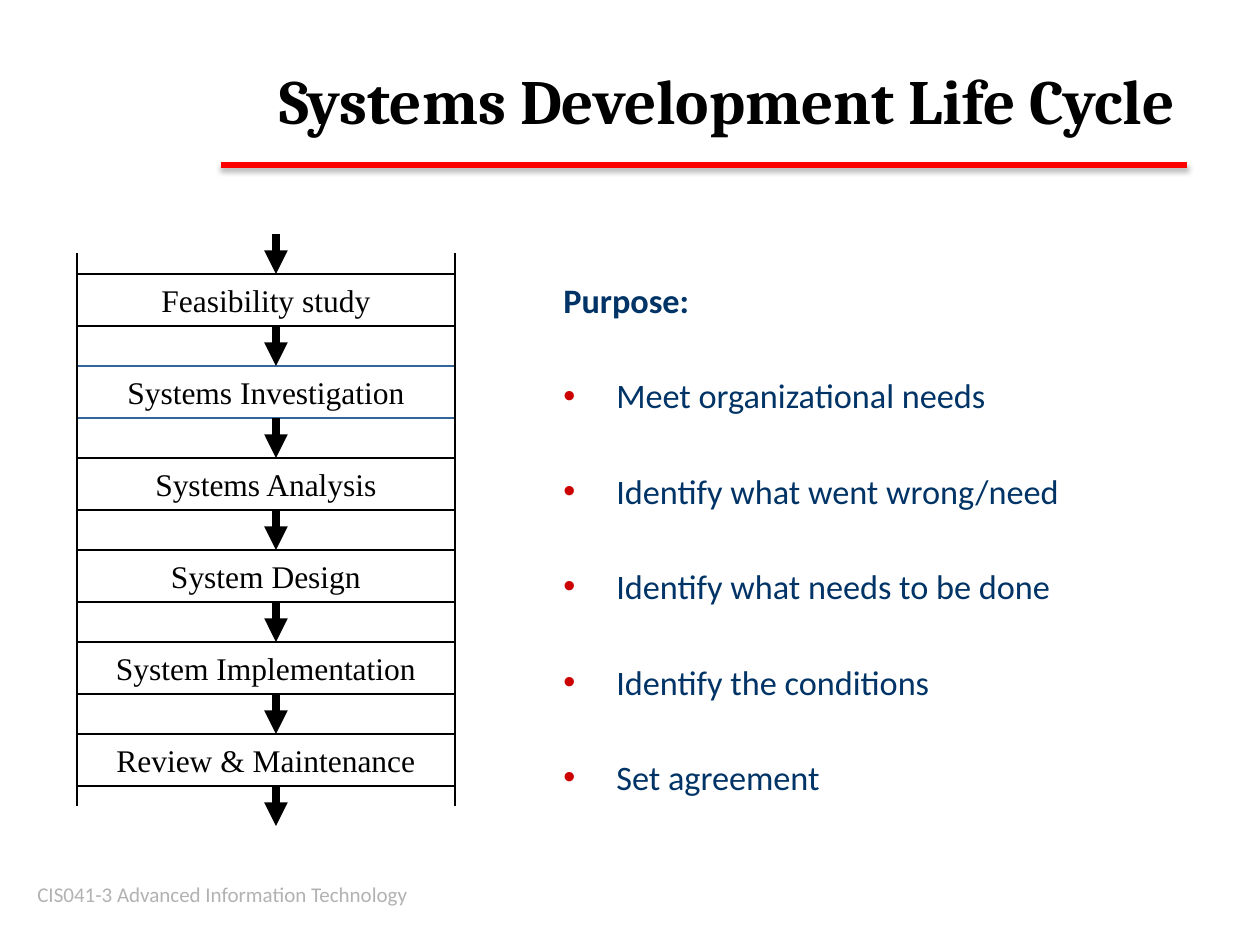
from lxml.etree import SubElement
from pptx import Presentation
from pptx.dml.color import RGBColor
from pptx.enum.shapes import MSO_CONNECTOR, MSO_SHAPE
from pptx.enum.text import MSO_ANCHOR, PP_ALIGN
from pptx.oxml.ns import qn
from pptx.util import Emu, Pt

BLACK = RGBColor(0x00, 0x00, 0x00)
RED = RGBColor(0xFF, 0x00, 0x00)
BULLET_RED = RGBColor(0xCC, 0x00, 0x00)
NAVY = RGBColor(0x00, 0x33, 0x66)
STEEL = RGBColor(0x33, 0x66, 0x99)
GREY = RGBColor(0xB2, 0xB2, 0xB2)

STAGES = ["Feasibility study", "Systems Investigation", "Systems Analysis",
          "System Design", "System Implementation", "Review & Maintenance"]
PURPOSES = ["Meet organizational needs", "Identify what went wrong/need",
            "Identify what needs to be done", "Identify the conditions",
            "Set agreement"]


def px(length):
    return Emu(round(length * 914400 / 126))


class SlideBuilder:
    heading_font = "Cambria"
    body_font = "Calibri"
    stage_font = "Times New Roman"

    def __init__(self, slide):
        self.slide = slide

    def style(self, paragraph, font, size, color, bold=False):
        for run in paragraph.runs:
            run.font.name = font
            run.font.size = Pt(size)
            run.font.color.rgb = color
            run.font.bold = bold

    def text(self, left, top, width, height, lines, anchor=MSO_ANCHOR.MIDDLE):
        box = self.slide.shapes.add_textbox(px(left), px(top), px(width), px(height))
        frame = box.text_frame
        frame.word_wrap = True
        frame.vertical_anchor = anchor
        frame.text = "\n".join(lines)
        return frame.paragraphs

    def bullet(self, paragraph, hang):
        properties = paragraph._p.get_or_add_pPr()
        properties.set("marL", str(px(hang)))
        properties.set("indent", str(-px(hang)))
        color = SubElement(properties, qn("a:buClr"))
        SubElement(color, qn("a:srgbClr"), val=str(BULLET_RED))
        SubElement(properties, qn("a:buFont"), typeface="Arial")
        SubElement(properties, qn("a:buChar"), char="•")

    def stage(self, left, top, width, height, label, outline):
        box = self.slide.shapes.add_shape(
            MSO_SHAPE.RECTANGLE, px(left), px(top), px(width), px(height))
        box.shadow.inherit = False
        box.fill.background()
        box.line.color.rgb = outline
        box.line.width = Pt(1)
        frame = box.text_frame
        frame.text = label
        frame.vertical_anchor = MSO_ANCHOR.MIDDLE
        paragraph = frame.paragraphs[0]
        paragraph.alignment = PP_ALIGN.CENTER
        self.style(paragraph, self.stage_font, 18, BLACK)

    def line(self, x1, y1, x2, y2, color, weight, arrow=False, shadow=False):
        connector = self.slide.shapes.add_connector(
            MSO_CONNECTOR.STRAIGHT, px(x1), px(y1), px(x2), px(y2))
        connector.line.color.rgb = color
        connector.line.width = Pt(weight)
        if arrow:
            SubElement(connector.line._get_or_add_ln(), qn("a:tailEnd"), type="triangle")
        effects = SubElement(connector._element.spPr, qn("a:effectLst"))
        if shadow:
            outer = SubElement(effects, qn("a:outerShdw"), blurRad=str(Pt(3.1)),
                               dist=str(Pt(1.8)), dir="5400000", rotWithShape="0")
            shade = SubElement(outer, qn("a:srgbClr"), val=str(BLACK))
            SubElement(shade, qn("a:alpha"), val="35000")


def main():
    deck = Presentation()
    deck.slide_width, deck.slide_height = px(1260), px(945)
    builder = SlideBuilder(deck.slides.add_slide(deck.slide_layouts[6]))

    # Title and rule
    builder.line(221, 165, 1187, 165, RED, 3, shadow=True)
    title = builder.text(221, 52, 966, 94, ["Systems Development Life Cycle"])[0]
    title.alignment = PP_ALIGN.RIGHT
    builder.style(title, builder.heading_font, 36, BLACK, bold=True)

    # Purpose list
    heading, *purposes = builder.text(
        551, 273, 636, 488, ["Purpose:", *PURPOSES], MSO_ANCHOR.TOP)
    builder.style(heading, builder.body_font, 19.6, NAVY, bold=True)
    for purpose in purposes:
        builder.bullet(purpose, 53)
        purpose.space_before = Pt(31)
        builder.style(purpose, builder.body_font, 19.6, NAVY)

    # Life cycle stages
    left, width, first_top, height, pitch = 77, 378, 274, 52, 92
    for index, label in enumerate(STAGES):
        outline = STEEL if label == "Systems Investigation" else BLACK
        builder.stage(left, first_top + index * pitch, width, height, label, outline)

    # Arrows into, between and out of the stages
    for index in range(len(STAGES) + 1):
        tip = first_top + index * pitch
        builder.line(276, tip - (pitch - height), 276, tip, BLACK, 4.5, arrow=True)

    # Side rails
    for rail in (left, left + width):
        builder.line(rail, 253, rail, 806, BLACK, 0.75)

    # Footer
    footer = builder.text(25, 869, 605, 50, ["CIS041-3 Advanced Information Technology"])[0]
    builder.style(footer, builder.body_font, 12, GREY)

    deck.save("out.pptx")


if __name__ == "__main__":
    main()
